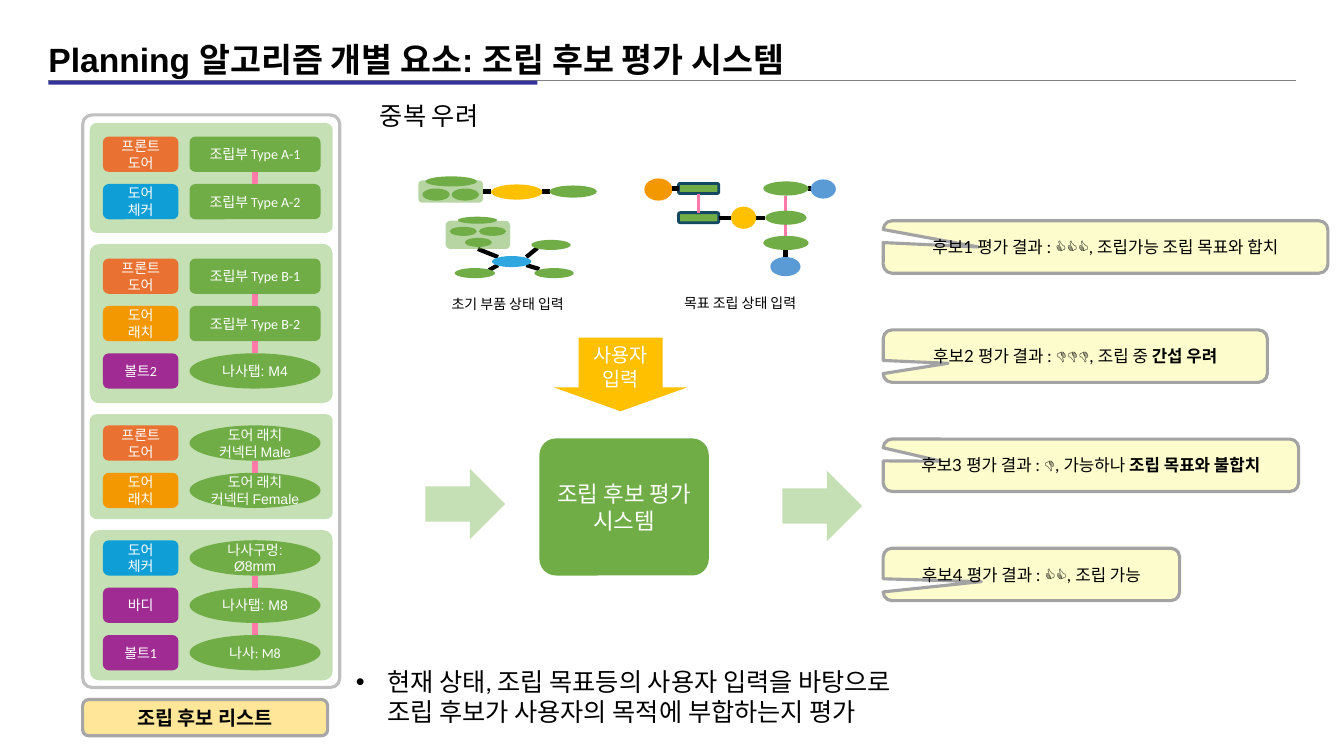
import pptx
import pptx.util
import pptx.dml.color
import pptx.enum.shapes
import pptx.enum.text
import pptx.oxml
import pptx.oxml.ns

KIND = pptx.enum.shapes.MSO_SHAPE
ALIGN = pptx.enum.text.PP_ALIGN
ANCHOR = pptx.enum.text.MSO_ANCHOR
WIDE, HIGH = 13.33, 7.5
ROUND, OVAL = KIND.ROUNDED_RECTANGLE, KIND.OVAL
GREEN, PALE, PINK, BLACK, WHITE = "70AD47", "C5E0B4", "FF79A9", "000000", "FFFFFF"
ORANGE, BLUE, AMBER, PURPLE, GOLD = "E97132", "0F9ED5", "F39800", "A02B93", "FFC000"
SKY, NAVY, CYAN = "5B9BD5", "144962", "2EA7E0"


def inch(*nums):
    return [pptx.util.Inches(num) for num in nums]


def tint(color, code):
    color.rgb = pptx.dml.color.RGBColor.from_string(code)


def style(run, code, size, name="Calibri", bold=False):
    form = {"size": pptx.util.Pt(size), "name": name, "bold": bold}
    for key, value in form.items():
        setattr(run.font, key, value)
    tint(run.font.color, code)


def write(frame, text, code, size, name="Calibri", bold=False, align=ALIGN.CENTER,
          anchor=ANCHOR.MIDDLE, pad=None):
    form = {"word_wrap": True, "vertical_anchor": anchor,
            "auto_size": pptx.enum.text.MSO_AUTO_SIZE.NONE}
    if pad is not None:
        form.update({"margin_" + side: pad for side in ("left", "right", "top", "bottom")})
    for key, value in form.items():
        setattr(frame, key, value)
    for num, part in enumerate(text.split("\n")):
        para = frame.add_paragraph() if num else frame.paragraphs[0]
        para.alignment = align
        run = para.add_run()
        run.text = part
        style(run, code, size, name, bold)


def draw(shapes, kind, box, fill=None, edge=None, width=2.25, adj=()):
    shape = shapes.add_shape(kind, *inch(*box))
    shape.shadow.inherit = False
    if fill:
        shape.fill.solid()
        tint(shape.fill.fore_color, fill)
    else:
        shape.fill.background()
    if edge:
        tint(shape.line.color, edge)
        shape.line.width = pptx.util.Pt(width)
    else:
        shape.line.fill.background()
    for num, value in enumerate(adj):
        shape.adjustments[num] = value
    return shape


def fade(shape, share):
    code = shape.fill._xPr.find(".//" + pptx.oxml.ns.qn("a:srgbClr"))
    space = pptx.oxml.ns.nsdecls("a")
    code.append(pptx.oxml.parse_xml(f'<a:alpha {space} val="{share * 1000}"/>'))


def link(shapes, ends, code, width, start=None, stop=None):
    line = shapes.add_connector(pptx.enum.shapes.MSO_CONNECTOR.STRAIGHT, *inch(*ends))
    tint(line.line.color, code)
    line.line.width = pptx.util.Pt(width)
    space = pptx.oxml.ns.nsdecls("a")
    line._element.spPr.append(pptx.oxml.parse_xml(f"<a:effectLst {space}/>"))
    if start:
        line.begin_connect(*start)
    if stop:
        line.end_connect(*stop)


def label(shapes, box, text, size, align=ALIGN.CENTER):
    note = shapes.add_textbox(*inch(*box))
    write(note.text_frame, text, BLACK, size, align=align, anchor=ANCHOR.TOP)


def place(holder, box):
    holder.left, holder.top, holder.width, holder.height = inch(*box)


def header(slide, left, top):
    place(slide.shapes.title, (left - 0.1, top - 0.46, 10.22, 0.5))
    write(slide.shapes.title.text_frame, "Planning 알고리즘 개별 요소: 조립 후보 평가 시스템",
          BLACK, 24, "Arial", True, ALIGN.LEFT, ANCHOR.TOP)
    link(slide.shapes, (left, top, left + 12.37, top), "808080", 1)
    draw(slide.shapes, KIND.RECTANGLE, (left, top, 4.85, 0.04), "333399")


def card(shapes, left, top, high, rows):
    draw(shapes, ROUND, (left, top, 2.41, high), PALE, adj=[0.062])
    tall, pitch = 0.35, 0.47
    first = top + (high - (len(rows) - 1) * pitch - tall) / 2
    last = None
    for num, (name, code, kind, text, font) in enumerate(rows):
        y = first + num * pitch
        chip = draw(shapes, ROUND, (left + 0.13, y, 0.75, tall), code)
        write(chip.text_frame, name, WHITE, 10)
        part = draw(shapes, kind, (left + 0.99, y, 1.3, tall), GREEN)
        write(part.text_frame, text, WHITE, 10, font, pad=0)
        if last:
            x = left + 1.64
            start = (last, 2) if last.auto_shape_type == ROUND else None
            link(shapes, (x, y - pitch + tall, x, y), PINK, 4.5, start, (part, 0))
        last = part


def stock(slide, left, top):
    shapes = slide.shapes.add_group_shape().shapes
    draw(shapes, ROUND, (left, top, 2.55, 5.68), None, "BFBFBF", adj=[0.036])
    front, check = ("프론트 도어", ORANGE), ("도어\n체커", BLUE)
    latch = ("도어 래치", AMBER)
    cards = [
        (1.09, [(*front, ROUND, "조립부 Type A-1", "Calibri"),
                (*check, ROUND, "조립부 Type A-2", "Calibri")]),
        (1.58, [(*front, ROUND, "조립부 Type B-1", "Calibri"),
                (*latch, ROUND, "조립부 Type B-2", "Calibri"),
                ("볼트2", PURPLE, OVAL, "나사탭: M4", "Arial")]),
        (1.04, [(*front, OVAL, "도어 래치 커넥터 Male", "Arial"),
                (*latch, OVAL, "도어 래치 커넥터 Female", "Arial")]),
        (1.49, [(*check, OVAL, "나사구멍: Ø8mm", "Arial"),
                ("바디", PURPLE, OVAL, "나사탭: M8", "Arial"),
                ("볼트1", PURPLE, OVAL, "나사: M8", "Calibri")])]
    y = top + 0.08
    for high, rows in cards:
        card(shapes, left + 0.07, y, high, rows)
        y += high + 0.11
    base = draw(slide.shapes, ROUND, (left, top + 5.8, 2.43, 0.36), "FFE699", "A6A6A6")
    write(base.text_frame, "조립 후보 리스트", "060606", 14, bold=True)


def ovals(shapes, left, top, nodes):
    for x, y, wide, high, code in nodes:
        draw(shapes, OVAL, (left + x, top + y, wide, high), code)


def wires(shapes, left, top, ends, code, width):
    for x, y, far, low in ends:
        link(shapes, (left + x, top + y, left + far, top + low), code, width)


def state(slide, left, top):
    shapes = slide.shapes.add_group_shape().shapes
    wires(shapes, left, top, [
        (0.79, 0.15, 0.87, 0.15), (1.45, 0.15, 1.38, 0.15), (0.74, 0.72, 0.94, 0.8),
        (1.22, 0.8, 1.33, 0.71), (1.35, 0.92, 1.22, 0.88), (0.85, 0.93, 0.94, 0.88)], BLACK, 3)
    for x, y, high in [(0.15, 0.04, 0.22), (0.42, 0.44, 0.28)]:
        fade(draw(shapes, ROUND, (left + x, top + y, 0.64, high), GREEN), 50)
    ovals(shapes, left, top, [
        (0.87, 0.08, 0.51, 0.15, GOLD), (1.45, 0.09, 0.47, 0.12, GREEN),
        (0.22, 0, 0.51, 0.1, GREEN), (0.19, 0.12, 0.27, 0.12, GREEN),
        (0.48, 0.12, 0.27, 0.12, GREEN), (0.88, 0.79, 0.39, 0.11, CYAN),
        (0.46, 0.5, 0.27, 0.09, GREEN), (0.75, 0.5, 0.27, 0.09, GREEN),
        (0.61, 0.61, 0.27, 0.09, GREEN), (0.54, 0.4, 0.39, 0.07, GREEN),
        (1.27, 0.63, 0.39, 0.1, GREEN), (1.3, 0.91, 0.39, 0.1, GREEN),
        (0.51, 0.91, 0.4, 0.1, GREEN)])
    label(shapes, (left, top + 1.13, 2.07, 0.27), "초기 부품 상태 입력", 10)


def goal(slide, left, top):
    shapes = slide.shapes.add_group_shape().shapes
    wires(shapes, left, top, [(1.66, 0.17, 1.66, 0.57)], PINK, 2.25)
    wires(shapes, left, top, [(1.46, 0.39, 1.37, 0.39), (1.88, 0.1, 1.91, 0.1),
                              (1.66, 0.71, 1.66, 0.78)], BLACK, 3)
    ovals(shapes, left, top, [
        (1.12, 0.28, 0.25, 0.22, GOLD), (0.26, 0, 0.28, 0.22, AMBER),
        (1.91, 0.01, 0.25, 0.19, SKY), (1.46, 0.32, 0.41, 0.14, GREEN),
        (1.44, 0.03, 0.45, 0.14, GREEN), (1.51, 0.78, 0.3, 0.19, SKY),
        (1.44, 0.57, 0.45, 0.14, GREEN)])
    bars = [draw(shapes, ROUND, (left + 0.6, top + y, 0.4, 0.1), GREEN, NAVY, 2)
            for y in (0.05, 0.34)]
    link(shapes, (left + 0.6, top + 0.1, left + 0.54, top + 0.1), BLACK, 3, (bars[0], 1))
    link(shapes, (left + 1, top + 0.39, left + 1.12, top + 0.39), BLACK, 3, (bars[1], 3))
    link(shapes, (left + 0.8, top + 0.15, left + 0.8, top + 0.34), PINK, 2.25,
         (bars[0], 2), (bars[1], 0))
    label(shapes, (left, top + 1.1, 2.42, 0.36), "목표 조립 상태 입력", 10)


def engine(slide, left, top):
    shapes = slide.shapes
    core = draw(shapes, ROUND, (left + 1.13, top + 1, 1.68, 1.36), GREEN, adj=[0.12])
    write(core.text_frame, "조립 후보 평가 시스템", WHITE, 16)
    user = draw(shapes, KIND.DOWN_ARROW, (left + 1.27, top, 1.33, 0.73), GOLD,
                adj=[0.626, 0.325])
    write(user.text_frame, "사용자 입력", WHITE, 14)
    for x, y in [(0, 1.3), (3.54, 1.32)]:
        draw(shapes, KIND.RIGHT_ARROW, (left + x, top + y, 0.79, 0.7), PALE)


def verdicts(slide, left, top):
    rows = [(4.41, -0.286, 0, "후보1 평가 결과 : 👍👍👍, 조립가능 조립 목표와 합치", ""),
            (3.81, -0.331, 0.137, "후보2 평가 결과 : 👎👎👎, 조립 중 ", "간섭 우려"),
            (4.12, -0.361, -0.078, "후보3 평가 결과 : 👎, 가능하나 ", "조립 목표와 불합치"),
            (2.94, -0.169, 0.137, "후보4 평가 결과 : 👍👍, 조립 가능", "")]
    for num, (wide, x, y, text, tail) in enumerate(rows):
        box = (left, top + num * 1.083, wide, 0.52)
        note = draw(slide.shapes, KIND.ROUNDED_RECTANGULAR_CALLOUT, box, "FDFCCC", "A3A3A3",
                    adj=[x, y, 0.167])
        write(note.text_frame, text, BLACK, 12, "Lato")
        if tail:
            run = note.text_frame.paragraphs[0].add_run()
            run.text = tail
            style(run, BLACK, 12, "Lato", True)


def summary(slide, left, top):
    body = slide.placeholders[1]
    place(body, (left, top, 5.97, 0.71))
    first, second = "현재 상태, 조립 목표등의 사용자 입력을 바탕으로", "조립 후보가 사용자의 목적에 부합하는지 평가"
    write(body.text_frame, first, BLACK, 18, align=ALIGN.LEFT, anchor=ANCHOR.TOP)
    para = body.text_frame.paragraphs[0]
    para.space_before = pptx.util.Pt(0)
    para.add_line_break()
    run = para.add_run()
    run.text = second
    style(run, BLACK, 18)
    props = para._p.get_or_add_pPr()
    props.set("marL", str(pptx.util.Inches(0.31)))
    props.set("indent", str(pptx.util.Inches(-0.31)))
    space = pptx.oxml.ns.nsdecls("a")
    props.append(pptx.oxml.parse_xml(f'<a:buFont {space} typeface="Arial"/>'))
    props.append(pptx.oxml.parse_xml(f'<a:buChar {space} char="•"/>'))


def main():
    deck = pptx.Presentation()
    deck.slide_width, deck.slide_height = inch(WIDE, HIGH)
    slide = deck.slides.add_slide(deck.slide_layouts[1])
    header(slide, 0.48, 0.8)
    verdicts(slide, 8.76, 2.19)
    stock(slide, 0.82, 1.14)
    summary(slide, 3.43, 6.56)
    goal(slide, 6.13, 1.77)
    engine(slide, 4.22, 3.35)
    state(slide, 4, 1.75)
    label(slide.shapes, (3.67, 0.95, 1.39, 0.4), "중복 우려", 18, ALIGN.LEFT)
    deck.save("out.pptx")


if __name__ == "__main__":
    main()
